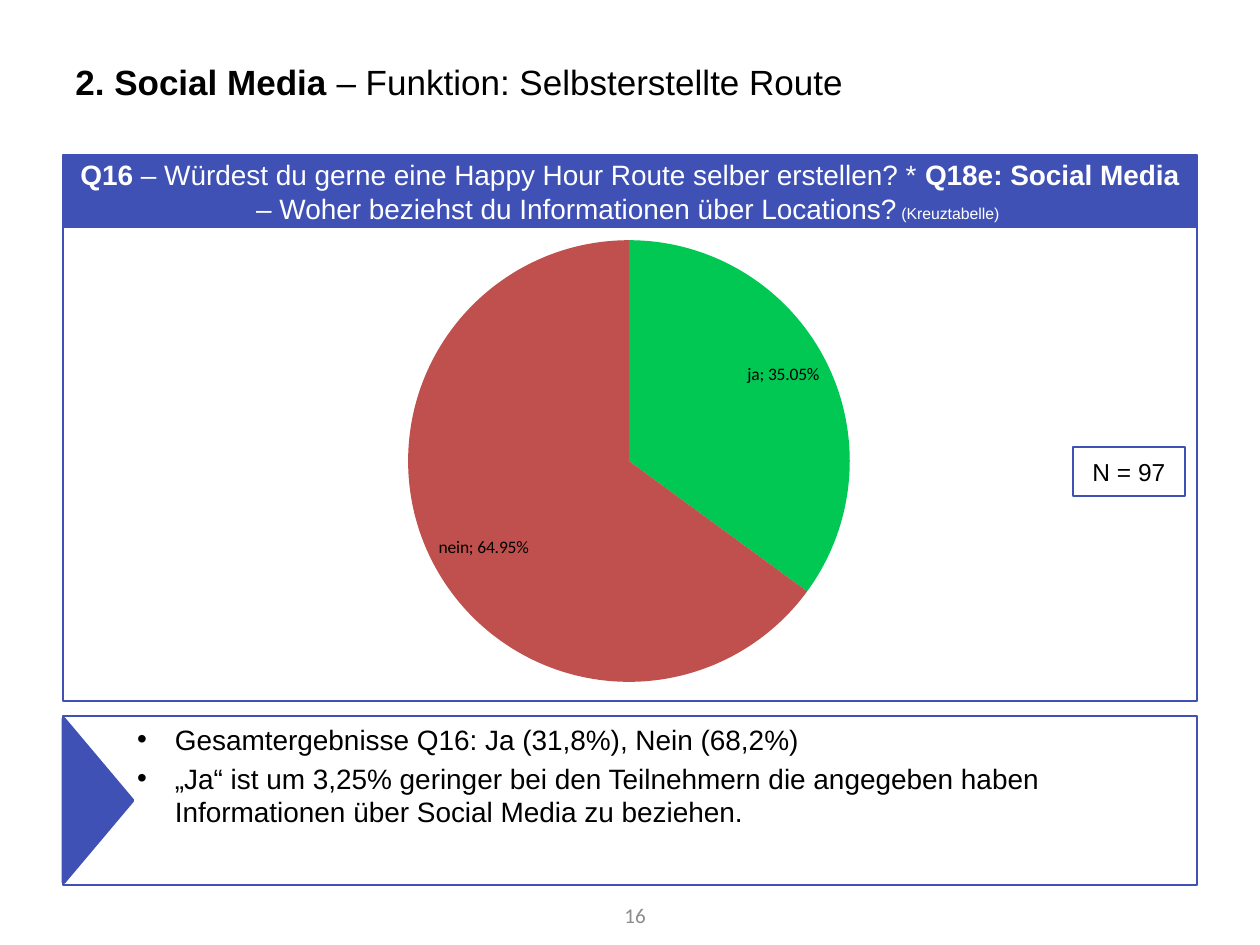
"""Builds a survey slide with a pie chart, a sample size and key findings."""
from dataclasses import dataclass
from typing import Optional

from lxml import etree
from pptx import Presentation
from pptx.chart.data import CategoryChartData
from pptx.dml.color import RGBColor
from pptx.enum.chart import XL_CHART_TYPE, XL_LABEL_POSITION
from pptx.enum.shapes import MSO_SHAPE
from pptx.enum.text import MSO_ANCHOR, PP_ALIGN
from pptx.oxml.ns import qn
from pptx.util import Emu, Inches, Pt

PX = 914400 // 126
BLUE = RGBColor(0x3F, 0x51, 0xB5)
GREEN = RGBColor(0x00, 0xC8, 0x53)
RED = RGBColor(0xC0, 0x50, 0x4D)
BLACK = RGBColor(0, 0, 0)
WHITE = RGBColor(0xFF, 0xFF, 0xFF)
GREY = RGBColor(0x8C, 0x8C, 0x8C)


@dataclass(frozen=True)
class Run:
    text: str
    size: int
    bold: bool = False


@dataclass(frozen=True)
class Box:
    left: int
    top: int
    width: int
    height: int
    paragraphs: tuple[tuple[Run, ...], ...] = ()
    color: RGBColor = BLACK
    font: str = "Arial"
    align: PP_ALIGN = PP_ALIGN.LEFT
    anchor: MSO_ANCHOR = MSO_ANCHOR.MIDDLE
    bullets: bool = False
    line: Optional[int] = None
    fill: Optional[RGBColor] = None
    geometry: MSO_SHAPE = MSO_SHAPE.RECTANGLE
    rotation: int = 0

    def frame(self) -> list[Emu]:
        return [Emu(v * PX) for v in (self.left, self.top, self.width, self.height)]


TITLE = Box(63, 38, 1134, 87, ((
    Run("2. Social Media ", 20, True),
    Run("– Funktion: Selbsterstellte Route", 20)),))
FINDINGS = Box(63, 716, 1134, 169, (
    (Run("Gesamtergebnisse Q16: Ja (31,8%), Nein (68,2%)", 16),),
    (Run("„Ja“ ist um 3,25% geringer bei den Teilnehmern die angegeben haben "
         "Informationen über Social Media zu beziehen.", 16),)),
    anchor=MSO_ANCHOR.TOP, bullets=True, line=1)
POINTER = Box(16, 766, 164, 69, line=2, fill=BLUE,
              geometry=MSO_SHAPE.ISOSCELES_TRIANGLE, rotation=90)
PANEL = Box(63, 155, 1134, 546, line=1)
QUESTION = Box(64, 156, 1132, 70, ((
    Run("Q16 ", 16, True),
    Run("– Würdest du gerne eine Happy Hour Route selber erstellen? * ", 16),
    Run("Q18e: Social Media", 16, True),
    Run(" – Woher beziehst du Informationen über Locations?", 16),
    Run(" (Kreuztabelle) ", 9)),),
    color=WHITE, align=PP_ALIGN.CENTER, line=2, fill=BLUE)
SAMPLE = Box(1073, 447, 112, 49, ((Run("N = 97", 14),),),
             align=PP_ALIGN.CENTER, line=1)
PAGE = Box(578, 890, 80, 50, ((Run("16", 12),),),
           color=GREY, font="Calibri", align=PP_ALIGN.RIGHT)
CHART = Box(184, 226, 890, 475)


def add_bullet(paragraph) -> None:
    """Gives a paragraph a hanging bullet."""
    paragraph.space_before = Pt(3.2)
    properties = paragraph._p.get_or_add_pPr()
    properties.set("marL", str(Inches(0.79)))
    properties.set("indent", str(-Inches(0.3)))
    etree.SubElement(properties, qn("a:buFont")).set("typeface", "Arial")
    etree.SubElement(properties, qn("a:buChar")).set("char", "•")


def write_text(frame, box: Box) -> None:
    """Writes the runs of a box into its text frame."""
    frame.word_wrap = True
    frame.vertical_anchor = box.anchor
    for index, runs in enumerate(box.paragraphs):
        paragraph = frame.add_paragraph() if index else frame.paragraphs[0]
        paragraph.alignment = box.align
        if box.bullets:
            add_bullet(paragraph)
        for item in runs:
            run = paragraph.add_run()
            run.text = item.text
            run.font.name = box.font
            run.font.size = Pt(item.size)
            run.font.bold = item.bold
            run.font.color.rgb = box.color


def add_box(slide, box: Box) -> None:
    """Adds a text box, or a preset shape when the box has an outline."""
    if box.line is None:
        shape = slide.shapes.add_textbox(*box.frame())
    else:
        shape = slide.shapes.add_shape(box.geometry, *box.frame())
        shape.shadow.inherit = False
        shape.rotation = box.rotation
        shape.line.color.rgb = BLUE
        shape.line.width = Pt(box.line)
        if box.fill is None:
            shape.fill.background()
        else:
            shape.fill.solid()
            shape.fill.fore_color.rgb = box.fill
    if box.paragraphs:
        write_text(shape.text_frame, box)


def place_plot(chart) -> None:
    """Fixes the inner plot area of the pie."""
    area = chart._chartSpace.find(".//" + qn("c:plotArea"))
    for old in area.findall(qn("c:layout")):
        area.remove(old)
    layout = etree.Element(qn("c:layout"))
    area.insert(0, layout)
    manual = etree.SubElement(layout, qn("c:manualLayout"))
    settings = (("layoutTarget", "inner"), ("xMode", "edge"), ("yMode", "edge"),
                ("x", "0.25"), ("y", "0.03"), ("w", "0.5"), ("h", "0.93"))
    for tag, value in settings:
        etree.SubElement(manual, qn("c:" + tag)).set("val", value)


def add_pie(slide, box: Box) -> None:
    """Adds the pie chart of the answers."""
    data = CategoryChartData(number_format="0.00%")
    data.categories = ["ja", "nein"]
    data.add_series("Series 1", (0.3505, 0.6495))
    chart = slide.shapes.add_chart(XL_CHART_TYPE.PIE, *box.frame(), data).chart
    chart.has_legend = False
    chart.has_title = False
    chart.font.name = "Calibri"
    chart.font.size = Pt(10)
    chart.font.color.rgb = BLACK
    plot = chart.plots[0]
    plot.vary_by_categories = True
    series = plot.series[0]
    for index, color in enumerate((GREEN, RED)):
        fill = series.points[index].format.fill
        fill.solid()
        fill.fore_color.rgb = color
    labels = series.data_labels
    labels.show_value = True
    labels.show_category_name = True
    labels.show_percentage = False
    labels.number_format = "0.00%"
    labels.number_format_is_linked = False
    labels.position = XL_LABEL_POSITION.INSIDE_END
    separator = etree.Element(qn("c:separator"))
    separator.text = "; "
    labels._element.find(qn("c:showBubbleSize")).addnext(separator)
    place_plot(chart)


def main() -> None:
    """Builds and saves the slide."""
    deck = Presentation()
    deck.slide_width, deck.slide_height = Inches(10), Inches(7.5)
    slide = deck.slides.add_slide(deck.slide_layouts[6])
    for box in (TITLE, FINDINGS, POINTER, PANEL, QUESTION, SAMPLE, PAGE):
        add_box(slide, box)
    add_pie(slide, CHART)
    deck.save("out.pptx")


main()
